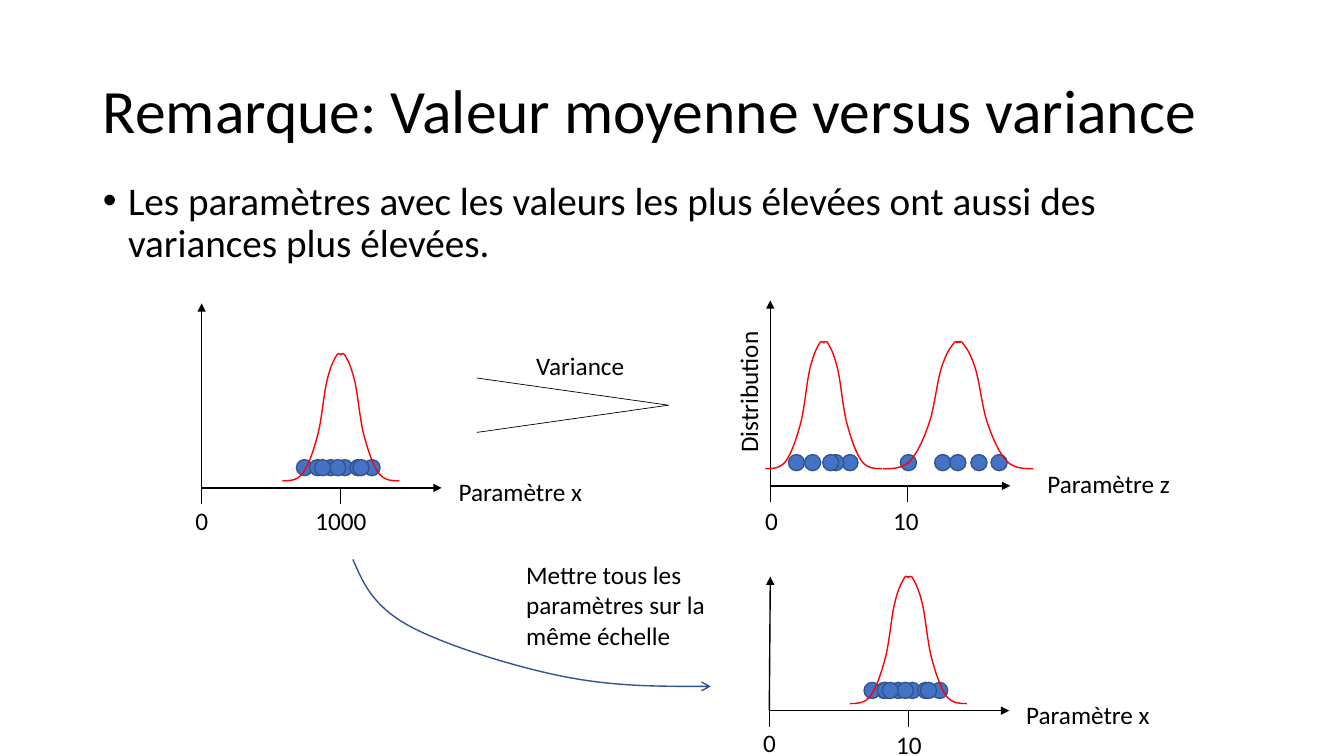
from dataclasses import dataclass
from lxml import etree
from pptx import Presentation
from pptx.dml.color import RGBColor
from pptx.enum.shapes import MSO_CONNECTOR, MSO_SHAPE
from pptx.enum.text import MSO_ANCHOR, MSO_AUTO_SIZE, PP_ALIGN
from pptx.oxml.ns import qn
from pptx.util import Inches, Pt

STRAIGHT = MSO_CONNECTOR.STRAIGHT
OVAL = MSO_SHAPE.OVAL
TOP, MIDDLE = MSO_ANCHOR.TOP, MSO_ANCHOR.MIDDLE
LEFT, CENTER = PP_ALIGN.LEFT, PP_ALIGN.CENTER
NO_AUTOFIT, GROW = MSO_AUTO_SIZE.NONE, MSO_AUTO_SIZE.SHAPE_TO_FIT_TEXT

FONT = "Calibri"
BLACK, RED, BLUE, DARK_BLUE = "000000", "FF0000", "4472C4", "325491"
DOT = 0.16
TICK = 0.16
AXIS_LENGTH = 2.38

Point = tuple[float, float]

HALF_BELL: list[Point] = [
    (0, 0), (0.07, 0), (0.14, 0), (0.2, -0.07),
    (0.26, -0.15), (0.31, -0.3), (0.35, -0.45),
    (0.39, -0.6), (0.41, -0.85), (0.44, -0.98),
    (0.47, -1.11), (0.5, -1.18), (0.53, -1.23),
    (0.55, -1.28), (0.57, -1.26), (0.59, -1.25),
]
RESCALING_ARROW: list[Point] = [
    (3.5, 5.55), (3.6, 5.78), (3.69, 6), (4.04, 6.2),
    (4.38, 6.39), (5.08, 6.61), (5.58, 6.71),
    (6.08, 6.81), (6.56, 6.81), (7.05, 6.81),
]
X_DOTS = [1.2, 1.34, 0.94, 1.61, 1.27, 1.07, 1.47, 1.12, 1.5]
Z_DOTS = [0.71, 1.29, 0.34, 1.63, 0.57, 1.78, 0.52, 1.99, 0.18, 2.19]


@dataclass
class Bell:
    left: float
    right: float
    base: float
    stretch: float = 1.0


@dataclass
class Label:
    text: str
    x: float
    y: float
    w: float = 0.8
    h: float = 0.4
    rotation: int = 0
    align: PP_ALIGN = LEFT


@dataclass
class Plot:
    x: float
    y: float
    top: Point
    tick: float
    dots: list[float]
    dot_y: float
    bells: list[Bell]
    labels: list[Label]


PLOTS = [
    Plot(7.64, 4.82, (7.64, 2.98), 9, Z_DOTS, 4.51,
         [Bell(7.59, 8.75, 4.65), Bell(8.76, 10.25, 4.65, 1.3)],
         [Label("Paramètre z", 10.29, 4.6, 1.5),
          Label("Distribution", 6.02, 3.69, 2.8, rotation=270, align=CENTER)]),
    Plot(2, 4.84, (2, 3.01), 3.38, X_DOTS, 4.56, [Bell(2.8, 3.96, 4.77)],
         [Label("Paramètre x", 4.45, 4.68, 1.5)]),
    Plot(7.63, 7.05, (7.64, 5.72), 9.01, [1.06] + X_DOTS, 6.77,
         [Bell(8.43, 9.59, 6.98)], [Label("Paramètre x", 10.08, 6.89, 1.5)]),
]
LABELS = [
    Label("0", 1.84, 4.96),
    Label("1000", 3.03, 4.96),
    Label("0", 7.49, 4.96),
    Label("10", 8.76, 4.96),
    Label("0", 7.47, 7.17),
    Label("10", 8.79, 7.19),
    Label("Mettre tous les paramètres sur la même échelle", 5.12, 5.5, 2.21, 1.01),
    Label("Variance", 5.22, 3.43, 1.16),
]


def rgb(color: str) -> RGBColor:
    return RGBColor.from_string(color)


def style_line(shape, color: str, width: float = 1, tail: str = "") -> None:
    shape.line.color.rgb = rgb(color)
    shape.line.width = Pt(width)
    if tail:
        etree.SubElement(shape.line._get_or_add_ln(), qn("a:tailEnd"), type=tail)


def style_font(p, size: float) -> None:
    p.font.name, p.font.size = FONT, Pt(size)
    p.font.color.rgb = rgb(BLACK)


def add_line(shapes, start: Point, end: Point, width: float = 1,
             tail: str = "") -> None:
    line = shapes.add_connector(STRAIGHT, *map(Inches, start + end))
    style_line(line, BLACK, width, tail)
    etree.SubElement(line._element.spPr, qn("a:effectLst"))


def bend_segments(shape) -> None:
    segments = list(shape._element.iter(qn("a:lnTo")))
    for i in range(0, len(segments), 3):
        bezier = etree.Element(qn("a:cubicBezTo"))
        segments[i].addprevious(bezier)
        for segment in segments[i:i + 3]:
            bezier.append(segment[0])
            segment.getparent().remove(segment)


def add_curve(shapes, curve: list[Point], color: str, tail: str = "") -> None:
    start, *rest = [(Inches(x), Inches(y)) for x, y in curve]
    builder = shapes.build_freeform(*start)
    builder.add_line_segments(rest, close=False)
    shape = builder.convert_to_shape()
    bend_segments(shape)
    shape.shadow.inherit = False
    shape.fill.background()
    style_line(shape, color, tail=tail)


def add_bell(shapes, bell: Bell) -> None:
    for start, side in ((bell.right, -1), (bell.left, 1)):
        add_curve(shapes, [(start + side * bell.stretch * x, bell.base + y)
                           for x, y in HALF_BELL], RED)


def add_label(shapes, label: Label) -> None:
    box = shapes.add_textbox(*map(Inches, (label.x, label.y, label.w, label.h)))
    box.rotation = label.rotation
    tf = box.text_frame
    tf.word_wrap, tf.auto_size = True, GROW
    p = tf.paragraphs[0]
    p.text, p.alignment = label.text, label.align
    style_font(p, 18)


def add_plot(s, plot: Plot) -> None:
    shapes = s.shapes.add_group_shape().shapes
    origin = (plot.x, plot.y)
    for end in ((plot.x + AXIS_LENGTH, plot.y), plot.top):
        add_line(shapes, origin, end, tail="triangle")
    for label in plot.labels:
        add_label(shapes, label)
    for offset in plot.dots:
        dot = shapes.add_shape(OVAL, Inches(plot.x + offset), Inches(plot.dot_y),
                               Inches(DOT), Inches(DOT))
        dot.shadow.inherit = False
        dot.fill.solid()
        dot.fill.fore_color.rgb = rgb(BLUE)
        style_line(dot, DARK_BLUE)
    for bell in plot.bells:
        add_bell(shapes, bell)
    for x in (plot.tick, plot.x):
        add_line(s.shapes, (x, plot.y), (x, plot.y + TICK))


def fill_placeholder(sp, text: str, top: float, height: float, size: float,
                     anchor: MSO_ANCHOR):
    sp.left, sp.top, sp.width, sp.height = map(Inches, (0.92, top, 11.5, height))
    tf = sp.text_frame
    tf.auto_size, tf.vertical_anchor = NO_AUTOFIT, anchor
    p = tf.paragraphs[0]
    p.text, p.alignment, p.line_spacing = text, LEFT, 0.9
    style_font(p, size)
    return p


def main() -> None:
    prs = Presentation()
    prs.slide_width, prs.slide_height = Inches(13.33), Inches(7.5)
    s = prs.slides.add_slide(prs.slide_layouts[1])
    fill_placeholder(s.shapes.title, "Remarque: Valeur moyenne versus variance",
                     0.4, 1.45, 44, MIDDLE)
    p = fill_placeholder(
        s.placeholders[1],
        "Les paramètres avec les valeurs les plus élevées ont aussi des "
        "variances plus élevées.", 1.75, 1.02, 28, TOP)
    p.space_before = Pt(10)
    pPr = p._p.get_or_add_pPr()
    pPr.set("marL", str(Inches(0.25)))
    pPr.set("indent", str(Inches(-0.25)))

    for plot in PLOTS:
        add_plot(s, plot)
    for label in LABELS:
        add_label(s.shapes, label)
    add_curve(s.shapes, RESCALING_ARROW, DARK_BLUE, tail="arrow")
    for y in (3.75, 4.29):
        add_line(s.shapes, (4.73, y), (6.63, 4.02), 0.5)
    prs.save("out.pptx")


if __name__ == "__main__":
    main()
